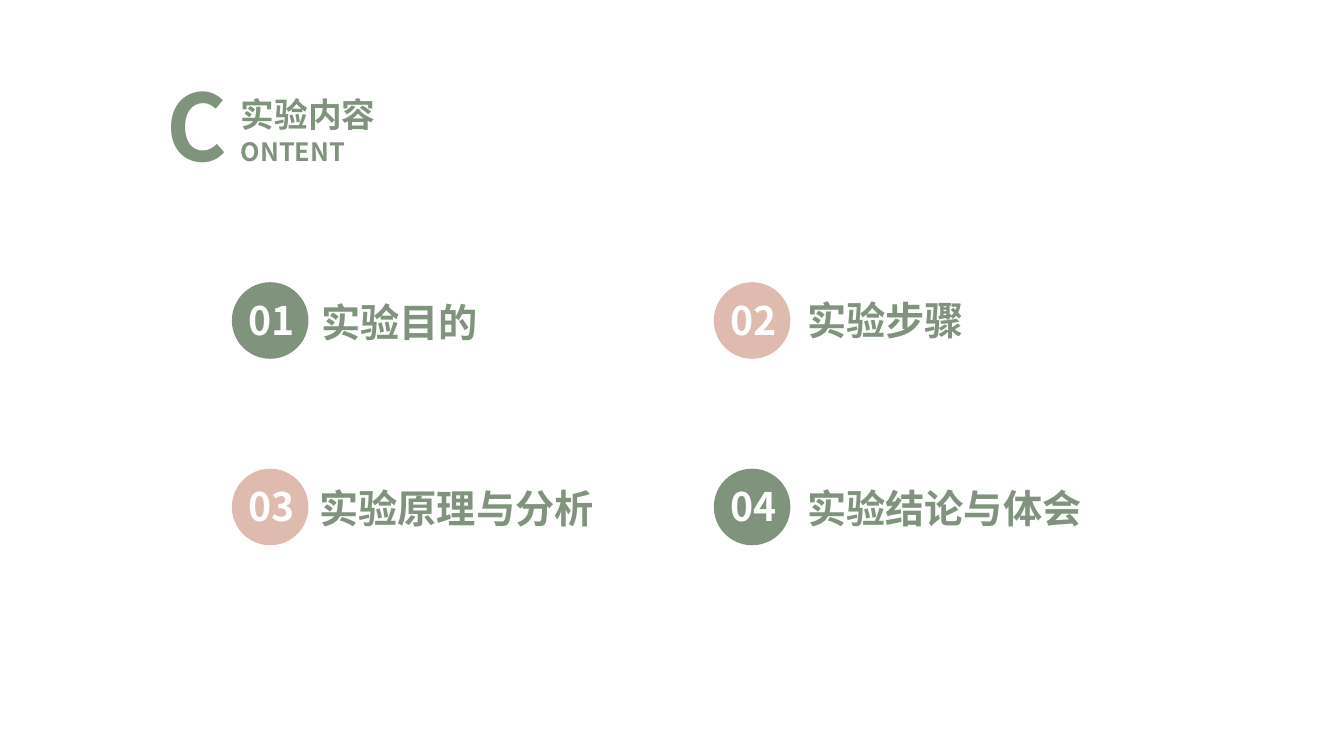
from lxml import etree
from pptx import Presentation
from pptx.dml.color import RGBColor
from pptx.enum import shapes, text
from pptx.oxml import ns
from pptx.util import Inches, Pt

COLORS = {"green": "80937D", "pink": "DFBBAF", "white": "FFFFFF"}
ALIGN = text.PP_ALIGN


class ContentSlide:
    font = "Noto Sans CJK SC"

    def __init__(self, presentation):
        self.slide = presentation.slides.add_slide(presentation.slide_layouts[6])

    def circle(self, left, top, size, color):
        shape = self.slide.shapes.add_shape(
            shapes.MSO_SHAPE.OVAL, Inches(left), Inches(top), Inches(size), Inches(size))
        shape.shadow.inherit = False
        shape.fill.solid()
        shape.fill.fore_color.rgb = RGBColor.from_string(COLORS[color])
        shape.line.fill.background()

    def label(self, words, box, size, color="green", align=ALIGN.JUSTIFY, wrap=True):
        shape = self.slide.shapes.add_textbox(*map(Inches, box))
        frame = shape.text_frame
        frame.text = words
        frame.word_wrap = wrap
        frame.auto_size = text.MSO_AUTO_SIZE.SHAPE_TO_FIT_TEXT
        paragraph = frame.paragraphs[0]
        paragraph.alignment = align
        run = paragraph.runs[0]
        run.font.name = self.font
        run.font.size = Pt(size)
        run.font.bold = True
        run.font.color.rgb = RGBColor.from_string(COLORS[color])
        east_asian = etree.SubElement(run.font._element, ns.qn("a:ea"))
        east_asian.set("typeface", self.font)


def main():
    presentation = Presentation()
    presentation.slide_width = Inches(13.33)
    presentation.slide_height = Inches(7.5)
    content = ContentSlide(presentation)

    content.label("C", (1.55, 0.64, 0.84, 1.21), 66, align=ALIGN.LEFT, wrap=False)
    content.label("ONTENT", (2.29, 1.3, 1.99, 0.4), 18)
    content.label("实验内容", (2.29, 0.88, 1.99, 0.5), 24)

    # Title, its left and top, and the circle's colour
    topics = [
        ("实验目的", 3.09, 2.91, "green"),
        ("实验步骤", 7.91, 2.89, "pink"),
        ("实验原理与分析", 3.07, 4.76, "pink"),
        ("实验结论与体会", 7.91, 4.76, "green"),
    ]
    for index, (title, title_left, title_top, color) in enumerate(topics):
        row, column = divmod(index, 2)
        left, top = 2.3 + 4.78 * column, 2.8 + 1.85 * row
        content.circle(left, top, 0.76, color)
        content.label(title, (title_left, title_top, 2.96, 0.57), 28)
        content.label(f"{index + 1:02}", (left - 0.01, top + 0.09, 0.8, 0.57), 28,
                      "white", ALIGN.CENTER)

    presentation.save("out.pptx")


if __name__ == "__main__":
    main()
